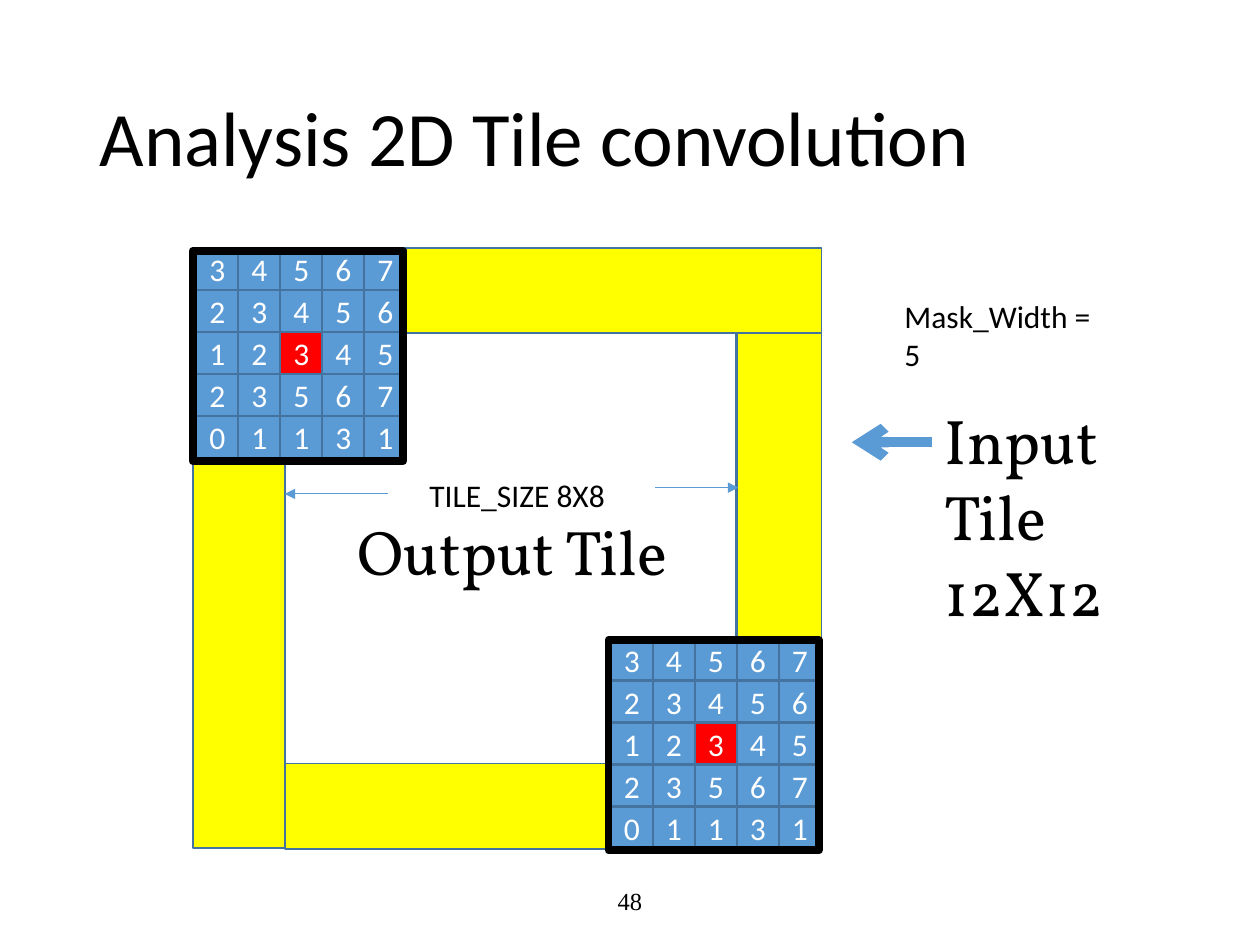
from pptx import Presentation, util as u
from pptx.dml.color import RGBColor
from pptx.enum import shapes, text
from pptx.oxml.ns import qn
from lxml import etree

COLORS = {"black": "000000", "white": "FFFFFF", "halo": "FFFF00",
          "cell": "5B9BD5", "center": "FF0000", "edge": "43739E"}
TITLE = "Analysis 2D Tile convolution"
TITLE_BOX = (0.69, 0.4, 8.62, 1.45)
TILE_PARTS = [
    ((1.53, 1.97, 4.99, 0.67), "halo"),
    ((2.26, 2.64, 3.58, 3.42), None),
    ((2.26, 6.06, 3.58, 0.68), "halo"),
    ((1.53, 1.97, 0.73, 4.76), "halo"),
    ((5.85, 2.64, 0.67, 4.11), "halo"),
]
MASK = ["34567", "23456", "12345", "23567", "01131"]
MASK_CENTER = (2, 2)
CELL = 0.33
PITCH = 1 / 3
FRAME = 1.67
MASK_PLACES = [((1.56, 1.97), (1.53, 1.99)), ((4.85, 5.07), (4.83, 5.08))]
LABELS = [
    ((3.31, 6.95, 3.38, 0.4), ["48"],
     dict(size=14, font="Times New Roman", align="CENTER", anchor="MIDDLE")),
    ((2.74, 4.02, 2.79, 0.71), ["Output Tile"], dict(size=36, font="Vollkorn")),
    ((7.4, 3.14, 2.18, 1.31), ["Input Tile", "12X12"], dict(size=36, font="Vollkorn")),
    ((7.08, 2.31, 1.72, 0.37), ["Mask_Width = 5"], {}),
    ((3.31, 3.73, 1.86, 0.4), ["TILE_SIZE 8X8"], {}),
]
ARROWS = [
    ((7.4, 3.51, 6.76, 3.51), 6, "arrow"),
    ((3.08, 3.92, 2.26, 3.92), 0.5, "triangle"),
    ((5.2, 3.87, 5.86, 3.87), 0.5, "triangle"),
]


def rgb(name):
    return RGBColor.from_string(COLORS[name])


def inches(values):
    return [u.Inches(value) for value in values]


def write(shape, lines, size=18, font="Calibri", color="black",
          align="LEFT", anchor="TOP", spacing=None):
    frame = shape.text_frame
    frame.text = "\n".join(lines)
    frame.word_wrap = True
    frame.auto_size = text.MSO_AUTO_SIZE.NONE
    frame.vertical_anchor = getattr(text.MSO_ANCHOR, anchor)
    for paragraph in frame.paragraphs:
        paragraph.alignment = getattr(text.PP_ALIGN, align)
        paragraph.line_spacing = spacing
        for run in paragraph.runs:
            run.font.size = u.Pt(size)
            run.font.name = font
            run.font.color.rgb = rgb(color)


def add_box(slide, box, fill=None, line="edge", width=1):
    shape = slide.shapes.add_shape(shapes.MSO_SHAPE.RECTANGLE, *inches(box))
    shape.shadow.inherit = False
    if fill:
        shape.fill.solid()
        shape.fill.fore_color.rgb = rgb(fill)
    else:
        shape.fill.background()
    shape.line.color.rgb = rgb(line)
    shape.line.width = u.Pt(width)
    return shape


def add_mask(slide, origin, frame_origin):
    left, top = origin
    for row, digits in enumerate(MASK):
        for column, digit in enumerate(digits):
            fill = "center" if (row, column) == MASK_CENTER else "cell"
            box = (left + column * PITCH, top + row * PITCH, CELL, CELL)
            write(add_box(slide, box, fill), [digit], color="white",
                  align="CENTER", anchor="MIDDLE")
    add_box(slide, (*frame_origin, FRAME, FRAME), line="black", width=4.5)


def add_arrow(slide, ends, width, head):
    connector = slide.shapes.add_connector(shapes.MSO_CONNECTOR.STRAIGHT, *inches(ends))
    connector.line.color.rgb = rgb("cell")
    connector.line.width = u.Pt(width)
    etree.SubElement(connector.line._get_or_add_ln(), qn("a:tailEnd"), type=head)
    etree.SubElement(connector._element.spPr, qn("a:effectLst"))


def main():
    """Build the tiled convolution slide."""
    presentation = Presentation()
    presentation.slide_width, presentation.slide_height = inches((10, 7.5))
    slide = presentation.slides.add_slide(presentation.slide_layouts[5])
    title = slide.shapes.title
    title.left, title.top, title.width, title.height = inches(TITLE_BOX)
    write(title, [TITLE], size=44, anchor="MIDDLE", spacing=0.9)
    for box, fill in TILE_PARTS:
        add_box(slide, box, fill)
    for origin, frame_origin in MASK_PLACES:
        add_mask(slide, origin, frame_origin)
    for box, lines, style in LABELS:
        write(slide.shapes.add_textbox(*inches(box)), lines, **style)
    for ends, width, head in ARROWS:
        add_arrow(slide, ends, width, head)
    presentation.save("out.pptx")


if __name__ == "__main__":
    main()
